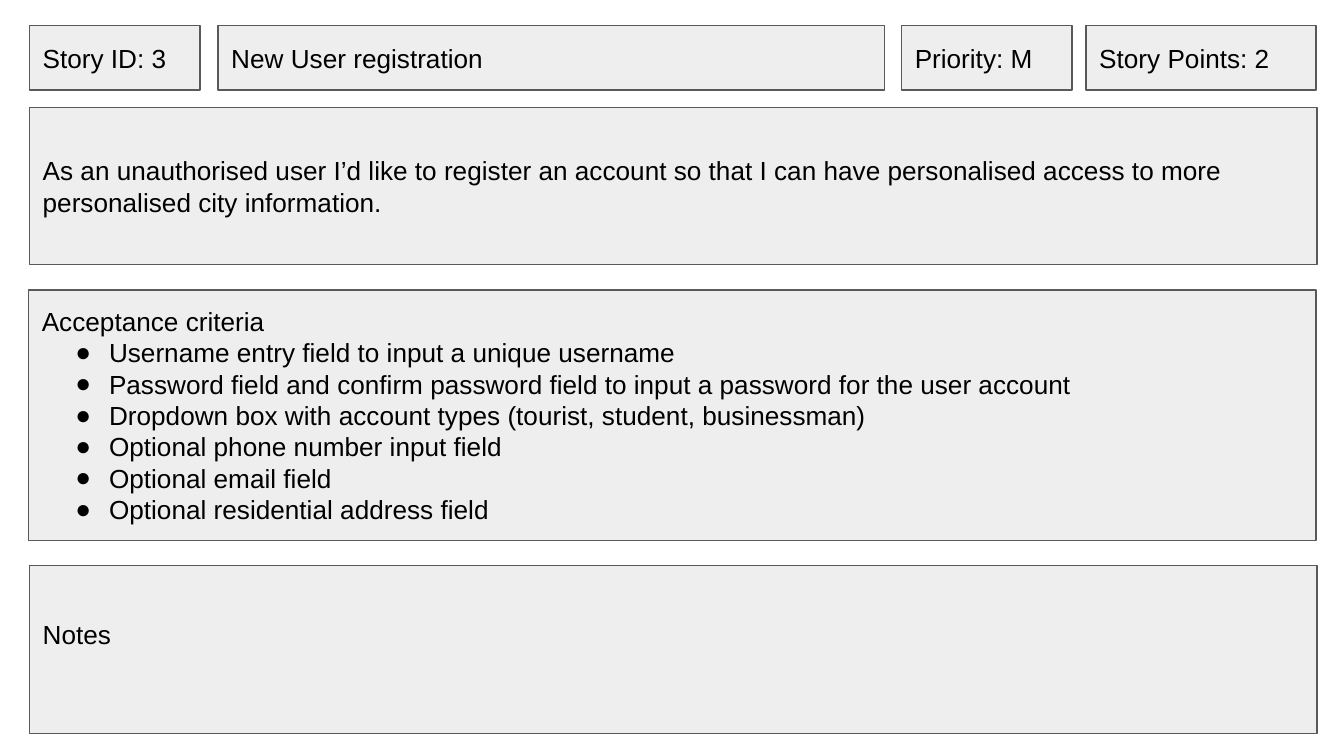
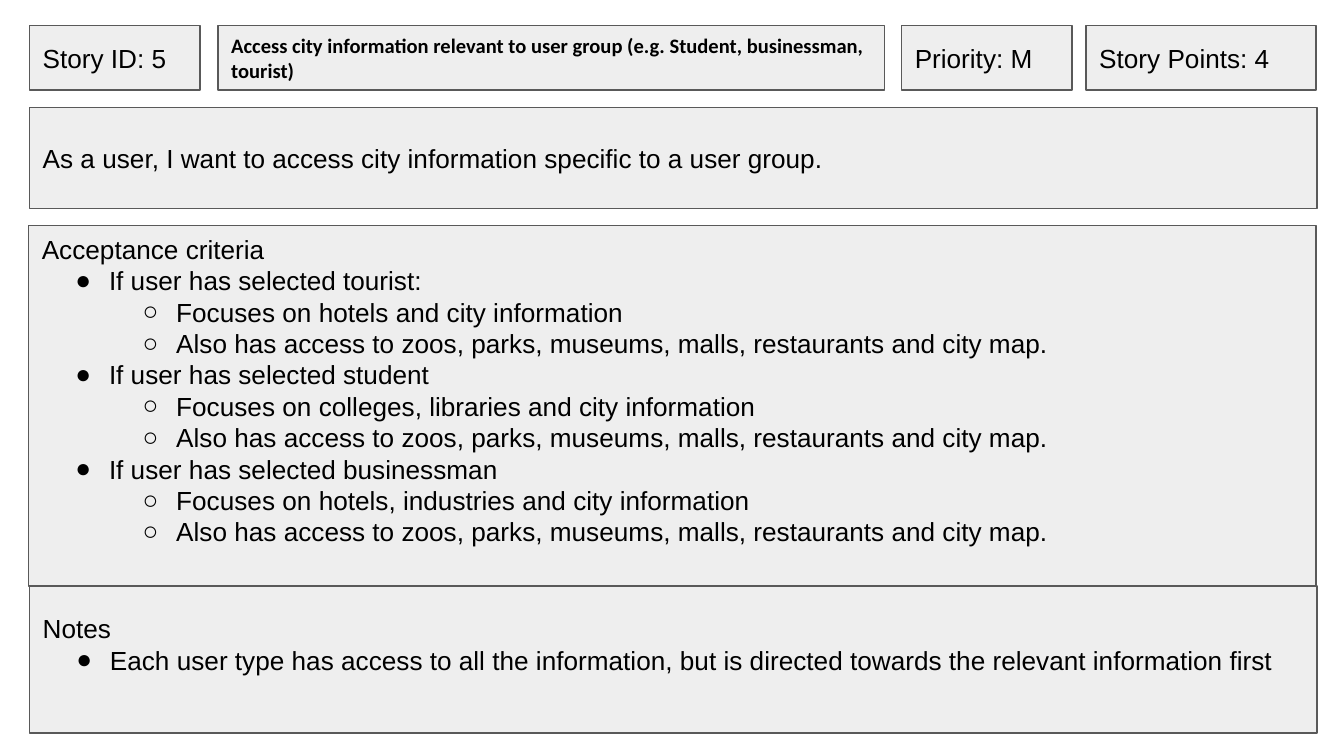
from lxml import etree
from pptx import Presentation
from pptx.dml.color import RGBColor
from pptx.enum import shapes, text
from pptx.oxml.ns import qn
from pptx.util import Pt

HUES = {"fill": "EEEEEE", "line": "595959", "text": "000000"}
LEFT, WIDE, PAD = 15.8, 689.8, 7.2
LINE = 16.8  # spare line kept free below some lists
STEP, HANG = 36, 18
MARKS = {1: "●", 2: "○"}
BODY = ("Arial", 14, False)
SMALL = ("Calibri", 11, True)

HEAD_TOP, HEAD_HIGH = 13.7, 34.6
HEADS = [(LEFT, 91.4), (116.8, 357), (483, 91.4), (581.8, 123.3)]

ACCESS = "Also has access to zoos, parks, museums, malls, restaurants and city map."
GROUPS = [
    ("If user has selected tourist:", "Focuses on hotels and city information"),
    ("If user has selected student", "Focuses on colleges, libraries and city information"),
    ("If user has selected businessman", "Focuses on hotels, industries and city information"),
]
rules = [(0, "Acceptance criteria")]
for who, focus in GROUPS:
    rules += [(1, who), (2, focus), (2, ACCESS)]

# Each panel: left, top, height, space kept free at the foot, (level, words) rows
CARDS = [
    {
        "heads": ["Story ID: 3", "New User registration", "Priority: M", "Story Points: 2"],
        "name": BODY,
        "panels": [
            (LEFT, 57.6, 84.2, 0, [
                (0, "As an unauthorised user I’d like to register an account so that I can "
                    "have personalised access to more personalised city information."),
            ]),
            (LEFT - 0.5, 155.3, 134.2, 0, [
                (0, "Acceptance criteria"),
                (1, "Username entry field to input a unique username"),
                (1, "Password field and confirm password field to input a password "
                    "for the user account"),
                (1, "Dropdown box with account types (tourist, student, businessman)"),
                (1, "Optional phone number input field"),
                (1, "Optional email field"),
                (1, "Optional residential address field"),
            ]),
            (LEFT, 303, 90, LINE, [(0, "Notes")]),
        ],
    },
    {
        "heads": [
            "Story ID: 5",
            "Access city information relevant to user group (e.g. Student, businessman, tourist)",
            "Priority: M",
            "Story Points: 4",
        ],
        "name": SMALL,
        "panels": [
            (LEFT, 57.6, 54, 0, [
                (0, "As a user, I want to access city information specific to a user group."),
            ]),
            (LEFT - 0.5, 120.8, 193.2, LINE, rules),
            (LEFT, 314, 78.8, LINE, [
                (0, "Notes"),
                (1, "Each user type has access to all the information, but is directed "
                    "towards the relevant information first"),
            ]),
        ],
    },
]


def add_box(slide, left, top, wide, high, rows, font=BODY, spare=0):
    """Draw a grey box whose rows are (level, words); level 0 has no bullet."""
    box = slide.shapes.add_shape(
        shapes.MSO_SHAPE.RECTANGLE, Pt(left), Pt(top), Pt(wide), Pt(high))
    box.shadow.inherit = False
    box.fill.solid()
    box.fill.fore_color.rgb = RGBColor.from_string(HUES["fill"])
    box.line.color.rgb = RGBColor.from_string(HUES["line"])
    box.line.width = Pt(0.75)

    frame = box.text_frame
    frame.word_wrap = True
    frame.vertical_anchor = text.MSO_ANCHOR.MIDDLE
    frame.margin_left = frame.margin_right = frame.margin_top = Pt(PAD)
    frame.margin_bottom = Pt(PAD + spare)

    face, size, bold = font
    for i, (level, words) in enumerate(rows):
        para = frame.add_paragraph() if i else frame.paragraphs[0]
        para.alignment = text.PP_ALIGN.LEFT
        if level:
            para.level = level - 1
            props = para._p.get_or_add_pPr()
            props.set("marL", str(Pt(STEP * level)))
            props.set("indent", str(-Pt(HANG)))
            etree.SubElement(props, qn("a:buFont"), typeface=face)
            etree.SubElement(props, qn("a:buChar"), char=MARKS[level])
        run = para.add_run()
        run.text = words
        run.font.name = face
        run.font.size = Pt(size)
        run.font.bold = bold
        run.font.color.rgb = RGBColor.from_string(HUES["text"])


deck = Presentation()
deck.slide_width, deck.slide_height = Pt(720), Pt(405)

for card in CARDS:
    slide = deck.slides.add_slide(deck.slide_layouts[6])
    fonts = [BODY, card["name"], BODY, BODY]
    for (left, wide), words, font in zip(HEADS, card["heads"], fonts):
        add_box(slide, left, HEAD_TOP, wide, HEAD_HIGH, [(0, words)], font)
    for left, top, high, spare, rows in card["panels"]:
        add_box(slide, left, top, WIDE, high, rows, spare=spare)

deck.save("out.pptx")
